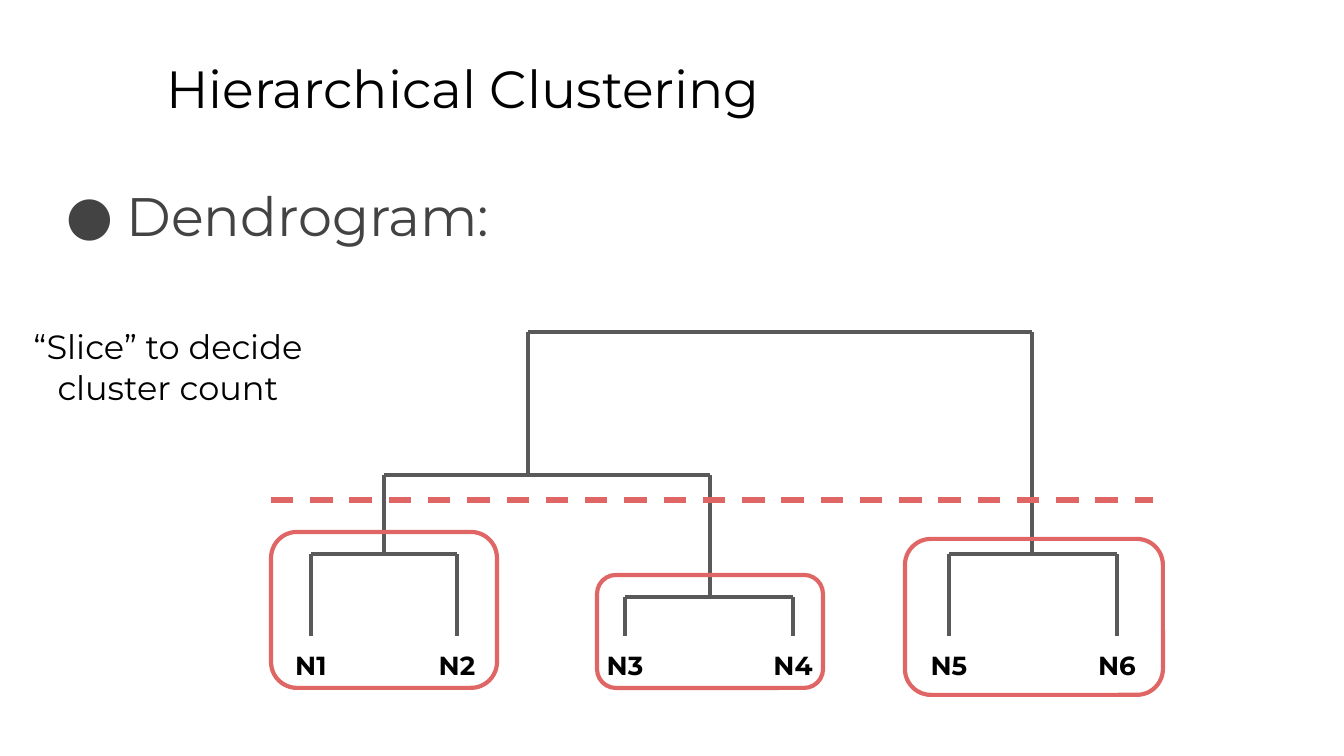
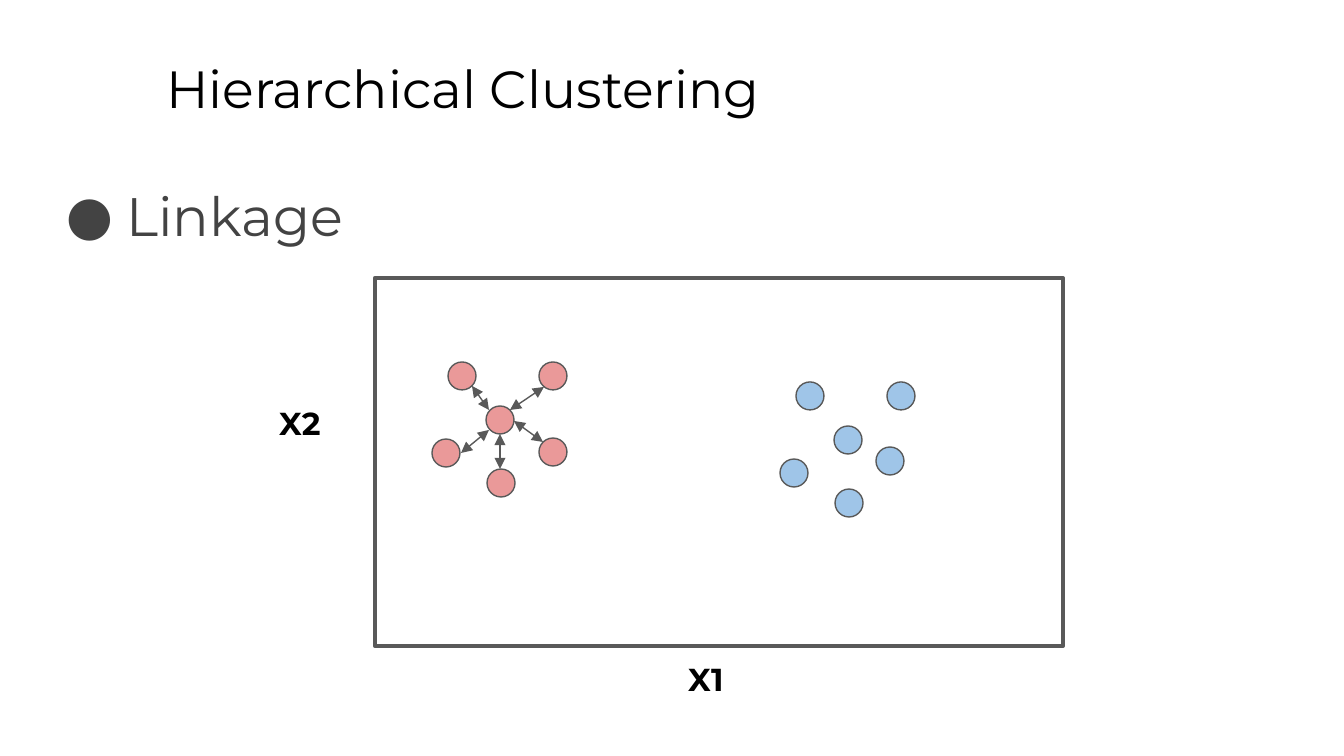
from lxml.etree import SubElement
from pptx import Presentation
from pptx.dml.color import RGBColor
from pptx.enum.dml import MSO_LINE
from pptx.enum.shapes import MSO_CONNECTOR, MSO_SHAPE
from pptx.enum.text import PP_ALIGN
from pptx.oxml.ns import qn
from pptx.util import Emu, Inches, Pt

COLORS = {
    "title": "000000",
    "body": "434343",
    "branch": "595959",
    "slice": "E06666",
    "red_point": "EA9999",
    "blue_point": "9FC5E8",
}
FONT = "Montserrat"
EMU_PER_PX = 914400 / 134.4
LEAF_Y = 636
LEAVES = {"N1": 311, "N2": 457, "N3": 625, "N4": 793, "N5": 949, "N6": 1117}
LABEL_WIDTH = 145
FORKS = [
    (311, 457, 554, LEAF_Y, LEAF_Y),
    (625, 793, 597, LEAF_Y, LEAF_Y),
    (949, 1117, 554, LEAF_Y, LEAF_Y),
    (384, 710, 475, 554, 597),
    (528, 1032, 332, 475, 554),
]
CLUSTERS = [(271, 532, 226, 156), (905, 539, 258, 156), (597, 575, 226, 113)]
POINT_SIZE = 28
NEIGHBOURS = [(0, 0), (-38, -44), (53, -44), (-54, 33), (1, 63)]
POINT_GROUPS = [
    ("red_point", (500, 420), (53, 32)),
    ("blue_point", (848, 440), (42, 21)),
]
DISTANCES = [
    (472, 386, 489, 410),
    (544, 387, 510, 410),
    (543, 442, 514, 421),
    (500, 469, 500, 434),
    (461, 453, 489, 430),
]


def px(length):
    """Turn pixels into EMU."""
    return Emu(round(length * EMU_PER_PX))


def rgb(color):
    """Look up a named colour."""
    return RGBColor.from_string(COLORS[color])


def add_text(slide, box, text, size, color="title", bold=False, align=PP_ALIGN.LEFT):
    """Add a wrapped text box and return its paragraph."""
    frame = slide.shapes.add_textbox(*map(px, box)).text_frame
    frame.word_wrap = True
    frame.margin_left = frame.margin_right = Inches(0.1)
    frame.margin_top = frame.margin_bottom = Inches(0.1)
    paragraph = frame.paragraphs[0]
    paragraph.alignment = align
    run = paragraph.add_run()
    run.text = text
    run.font.name = FONT
    run.font.size = Pt(size)
    run.font.bold = bold
    run.font.color.rgb = rgb(color)
    return paragraph


def add_bullet(paragraph):
    """Give a paragraph a hanging round bullet."""
    properties = paragraph._p.get_or_add_pPr()
    properties.set("marL", str(Inches(0.5)))
    properties.set("indent", str(-Inches(0.45)))
    bullet_color = SubElement(properties, qn("a:buClr"))
    SubElement(bullet_color, qn("a:srgbClr"), val=COLORS["body"])
    SubElement(properties, qn("a:buFont"), typeface=FONT)
    SubElement(properties, qn("a:buChar"), char="●")


def add_outline(slide, kind, box, color, width, fill=None):
    """Add an outlined shape with an optional fill."""
    shape = slide.shapes.add_shape(kind, *map(px, box))
    shape.shadow.inherit = False
    if fill:
        shape.fill.solid()
        shape.fill.fore_color.rgb = rgb(fill)
    else:
        shape.fill.background()
    shape.line.color.rgb = rgb(color)
    shape.line.width = Pt(width)


def add_line(slide, ends, color="branch", width=2.25, dashed=False, arrows=False):
    """Add a straight line, dashed or with an arrowhead at both ends."""
    connector = slide.shapes.add_connector(MSO_CONNECTOR.STRAIGHT, *map(px, ends))
    line = connector.line
    line.color.rgb = rgb(color)
    line.width = Pt(width)
    if dashed:
        line.dash_style = MSO_LINE.DASH
    if arrows:
        for tag in ("a:headEnd", "a:tailEnd"):
            SubElement(line._get_or_add_ln(), qn(tag), type="triangle")
    SubElement(connector._element.spPr, qn("a:effectLst"))


def add_fork(slide, left, right, top, left_bottom, right_bottom):
    """Join two branches of the dendrogram."""
    add_line(slide, (left, left_bottom, left, top))
    add_line(slide, (right, right_bottom, right, top))
    add_line(slide, (left, top, right, top))


def add_topic_slide(deck, topic):
    """Add a slide with the shared title and a bulleted topic."""
    slide = deck.slides.add_slide(deck.slide_layouts[6])
    add_text(slide, (153, 43, 1145, 85), "Hierarchical Clustering", 28)
    add_bullet(add_text(slide, (46, 169, 1260, 503), topic, 29, "body"))
    return slide


def build_dendrogram(deck):
    """Build the dendrogram sliced into three clusters."""
    slide = add_topic_slide(deck, "Dendrogram:")
    for name, x in LEAVES.items():
        box = (x - LABEL_WIDTH / 2, LEAF_Y, LABEL_WIDTH, 59)
        add_text(slide, box, name, 14, bold=True, align=PP_ALIGN.CENTER)
    for fork in FORKS:
        add_fork(slide, *fork)
    add_text(slide, (17, 313, 302, 109), "“Slice” to decide cluster count", 18,
             align=PP_ALIGN.CENTER)
    add_line(slide, (271, 500, 1153, 500), "slice", 3, dashed=True)
    for cluster in CLUSTERS:
        add_outline(slide, MSO_SHAPE.ROUNDED_RECTANGLE, cluster, "slice", 2.25)


def build_linkage(deck):
    """Build the plot of two point groups with linkage distances."""
    slide = add_topic_slide(deck, "Linkage")
    add_outline(slide, MSO_SHAPE.RECTANGLE, (375, 278, 688, 368), "branch", 2.25)
    for axis, left, top in (("X2", 266, 390), ("X1", 675, 646)):
        add_text(slide, (left, top, 77, 103), axis, 17, bold=True)
    for color, (center_x, center_y), right_neighbour in POINT_GROUPS:
        for dx, dy in NEIGHBOURS + [right_neighbour]:
            box = (center_x + dx - POINT_SIZE / 2, center_y + dy - POINT_SIZE / 2,
                   POINT_SIZE, POINT_SIZE)
            add_outline(slide, MSO_SHAPE.OVAL, box, "branch", 0.75, color)
    for distance in DISTANCES:
        add_line(slide, distance, width=0.75, arrows=True)


def main():
    """Build and save the presentation."""
    deck = Presentation()
    deck.slide_width, deck.slide_height = px(1344), px(756)
    build_dendrogram(deck)
    build_linkage(deck)
    deck.save("out.pptx")


main()
